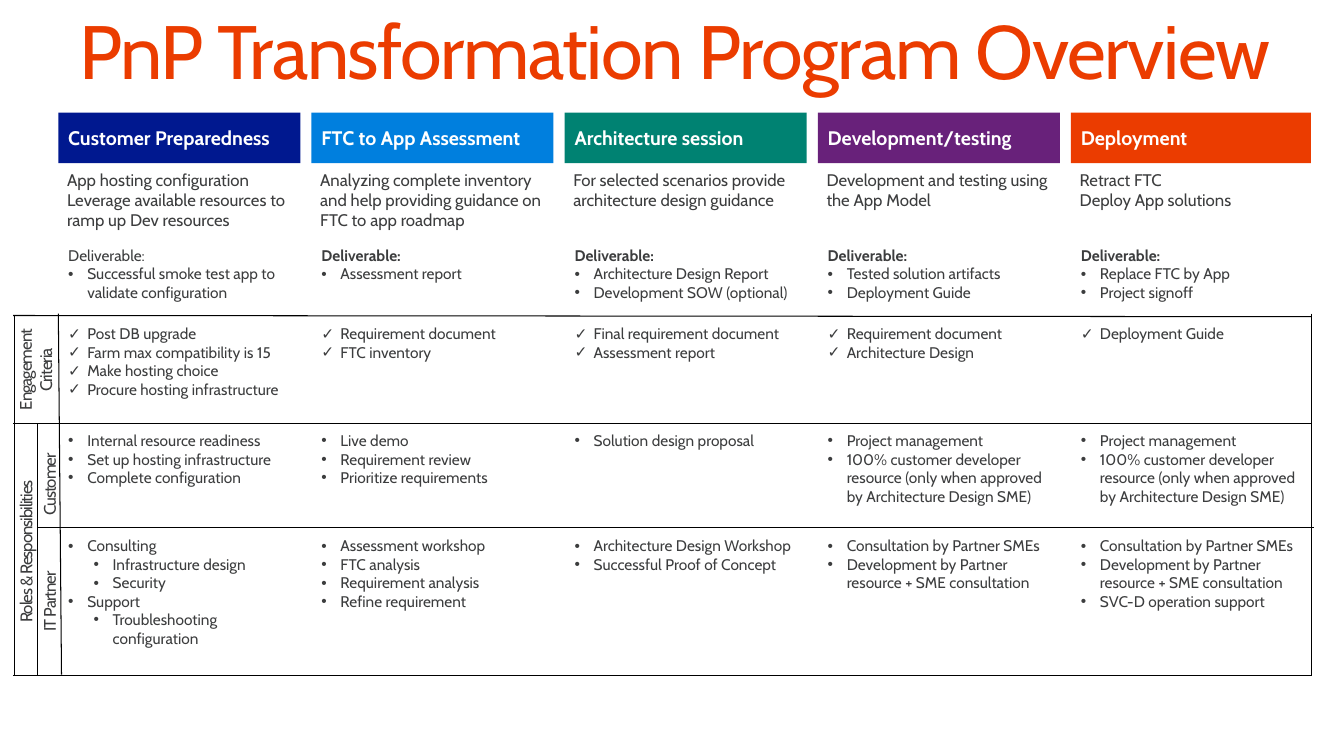
from lxml.etree import SubElement
from pptx import Presentation
from pptx.dml.color import RGBColor
from pptx.enum.shapes import MSO_CONNECTOR, MSO_SHAPE
from pptx.enum.text import MSO_ANCHOR, PP_ALIGN
from pptx.oxml.ns import qn
from pptx.util import Cm, Pt

WHITE = RGBColor(0xFF, 0xFF, 0xFF)
BLACK = RGBColor(0x00, 0x00, 0x00)
GRAY = RGBColor(0x3C, 0x3D, 0x3E)
ORANGE = RGBColor(0xEB, 0x3C, 0x00)
NAVY = RGBColor(0x00, 0x18, 0x8F)
BLUE = RGBColor(0x00, 0x7F, 0xDE)
TEAL = RGBColor(0x00, 0x82, 0x72)
PURPLE = RGBColor(0x68, 0x21, 0x7A)

COLUMN_LEFT, COLUMN_STEP, COLUMN_WIDTH = 1.47, 6.38, 6.1

presentation = Presentation()
presentation.slide_width = Cm(33.87)
presentation.slide_height = Cm(19.05)
slide = presentation.slides.add_slide(presentation.slide_layouts[6])


def add_text(left, top, width, height, lines, size=11, color=GRAY, bold=False, fill=None,
             bullet=None, heading=None, heading_bold=False, align=PP_ALIGN.LEFT,
             anchor=MSO_ANCHOR.TOP, margins=(0.25, 0.13, 0.25, 0), spacing=None,
             line_spacing=None, rotation=0):
    """Add a text box; a line is a string or a (string, bullet level) pair."""
    shape = slide.shapes.add_shape(MSO_SHAPE.RECTANGLE, Cm(left), Cm(top), Cm(width), Cm(height))
    shape.shadow.inherit = False
    shape.line.fill.background()
    if fill is None:
        shape.fill.background()
    else:
        shape.fill.solid()
        shape.fill.fore_color.rgb = fill
    shape.rotation = rotation
    frame = shape.text_frame
    frame.word_wrap = True
    frame.vertical_anchor = anchor
    frame.margin_left, frame.margin_top, frame.margin_right, frame.margin_bottom = map(Cm, margins)

    all_lines = ([heading] if heading else []) + lines
    for index, line in enumerate(all_lines):
        text, level = line if isinstance(line, tuple) else (line, 0)
        is_heading = heading is not None and index == 0
        paragraph = frame.paragraphs[0] if index == 0 else frame.add_paragraph()
        paragraph.alignment = align
        if line_spacing:
            paragraph.line_spacing = line_spacing
        if bullet and not is_heading:
            paragraph.level = level
            properties = paragraph._p.get_or_add_pPr()
            properties.set("marL", str(Cm(0.48 + 0.64 * level)))
            properties.set("indent", str(-Cm(0.48)))
            SubElement(properties, qn("a:buFont")).set("typeface", "Arial")
            SubElement(properties, qn("a:buChar")).set("char", bullet)
        run = paragraph.add_run()
        run.text = text
        run.font.name = "Cabin"
        run.font.size = Pt(size)
        run.font.bold = heading_bold if is_heading else bold
        run.font.color.rgb = color
        if spacing:
            run.font._element.set("spc", str(spacing))


# Title
add_text(0.33, 0.5, 33.35, 1.75, ["PnP Transformation Program Overview"], size=54, color=ORANGE,
         align=PP_ALIGN.CENTER, anchor=MSO_ANCHOR.MIDDLE, margins=(0.25, 0.13, 0.25, 0.13),
         spacing=-100, line_spacing=0.9)

# Phases: one column each, from header to partner responsibilities
consultation = ["Consultation by Partner SMEs", "Development by Partner resource + SME consultation"]
development_roles = [
    "Project management",
    "100% customer developer resource (only when approved by Architecture Design SME)",
]
phases = [
    dict(name="Customer Preparedness", color=NAVY,
         summary=["App hosting configuration", "Leverage available resources to ramp up Dev resources"],
         deliverables=["Successful smoke test app to validate configuration"],
         criteria=["Post DB upgrade", "Farm max compatibility is 15", "Make hosting choice",
                   "Procure hosting infrastructure"],
         customer=["Internal resource readiness", "Set up hosting infrastructure",
                   "Complete configuration"],
         partner=["Consulting", ("Infrastructure design", 1), ("Security", 1), "Support",
                  ("Troubleshooting configuration", 1)]),
    dict(name="FTC to App Assessment", color=BLUE,
         summary=["Analyzing complete inventory and help providing guidance on FTC to app roadmap"],
         deliverables=["Assessment report"],
         criteria=["Requirement document", "FTC inventory"],
         customer=["Live demo", "Requirement review", "Prioritize requirements"],
         partner=["Assessment workshop", "FTC analysis", "Requirement analysis",
                  "Refine requirement"]),
    dict(name="Architecture session", color=TEAL,
         summary=["For selected scenarios provide architecture design guidance"],
         deliverables=["Architecture Design Report", "Development SOW (optional)"],
         criteria=["Final requirement document", "Assessment report"],
         customer=["Solution design proposal"],
         partner=["Architecture Design Workshop", "Successful Proof of Concept"]),
    dict(name="Development/testing", color=PURPLE,
         summary=["Development and testing using the App Model"],
         deliverables=["Tested solution artifacts", "Deployment Guide"],
         criteria=["Requirement document", "Architecture Design"],
         customer=development_roles,
         partner=consultation),
    dict(name="Deployment", color=ORANGE,
         summary=["Retract FTC", "Deploy App solutions"],
         deliverables=["Replace FTC by App", "Project signoff"],
         criteria=["Deployment Guide"],
         customer=development_roles,
         partner=consultation + ["SVC-D operation support"]),
]
# Key, top, height and bullet of each list row
list_rows = [("criteria", 8.05, 2.4, "✓"), ("customer", 10.74, 2.2, "•"), ("partner", 13.39, 3.2, "•")]

for column, phase in enumerate(phases):
    left = COLUMN_LEFT + COLUMN_STEP * column
    is_first, is_last = column == 0, column == len(phases) - 1
    background = None if is_first else WHITE
    add_text(left, 2.84, 6.05 if is_last else COLUMN_WIDTH, 1.27, [phase["name"]], size=14,
             color=WHITE, bold=True, fill=phase["color"], anchor=MSO_ANCHOR.MIDDLE,
             margins=(0.25, 0.13, 0.25, 0.13))
    add_text(left - 0.03, 4.14, COLUMN_WIDTH, 1.9, phase["summary"], size=12)
    add_text(left, 6.07, COLUMN_WIDTH, 1.7, phase["deliverables"], fill=background, bullet="•",
             heading="Deliverable:", heading_bold=not is_first)
    for key, top, height, bullet in list_rows:
        add_text(left, top, COLUMN_WIDTH, height, phase[key], fill=background, bullet=bullet)

# Row labels turned upwards: text, centre x, centre y, length, thickness
row_labels = [
    ("Engagement Criteria", 0.89, 9.32, 2.29, 1.02),
    ("Customer", 1.24, 12.2, 2.4, 0.5),
    ("IT Partner", 1.24, 15.15, 2.4, 0.5),
    ("Roles & Responsibilities", 0.65, 13.9, 6.35, 0.5),
]
for text, center_x, center_y, length, thickness in row_labels:
    add_text(center_x - length / 2, center_y - thickness / 2, length, thickness, [text], size=12,
             align=PP_ALIGN.CENTER, anchor=MSO_ANCHOR.MIDDLE, margins=(0, 0, 0, 0), spacing=-70,
             rotation=270)

# Grid lines: start x, start y, end x, end y
grid_lines = [
    (0.33, 7.95, 33.05, 7.98),
    (0.33, 10.67, 33.05, 10.67),
    (0.97, 13.28, 33.12, 13.28),
    (0.33, 17.02, 33.07, 17.02),
    (0.36, 7.95, 0.36, 17.02),
    (0.94, 10.67, 0.94, 17.02),
    (1.47, 7.9, 1.55, 17),
    (33.05, 7.9, 33.05, 17),
]
for ends in grid_lines:
    connector = slide.shapes.add_connector(MSO_CONNECTOR.STRAIGHT, *map(Cm, ends))
    connector.line.color.rgb = BLACK
    connector.line.width = Pt(0.75)
    SubElement(connector._element.spPr, qn("a:effectLst"))

presentation.save("out.pptx")
